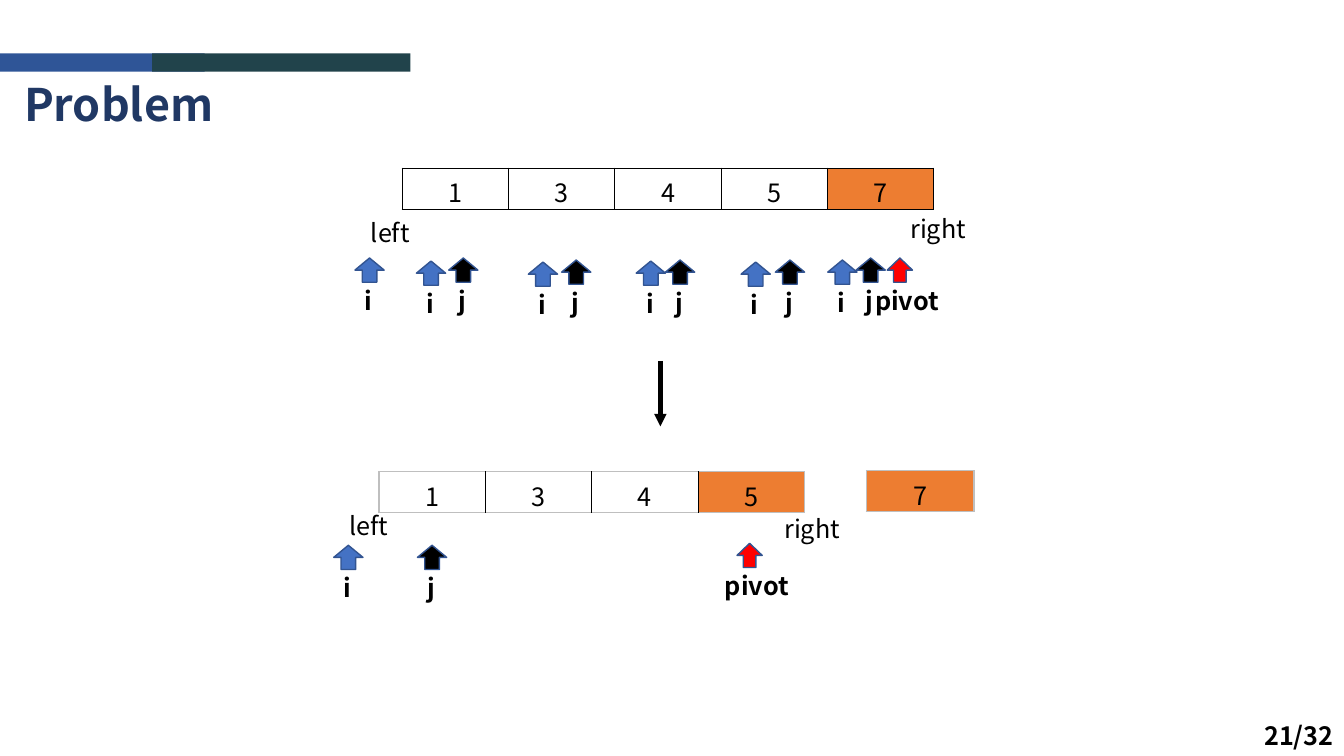
import pptx
import pptx.chart.data
import pptx.dml.color
import pptx.enum.shapes
import pptx.enum.text
import pptx.oxml
import pptx.oxml.ns
import pptx.util
from lxml import etree

Inches = pptx.util.Inches
Pt = pptx.util.Pt
RGBColor = pptx.dml.color.RGBColor
MSO_SHAPE = pptx.enum.shapes.MSO_SHAPE
qn = pptx.oxml.ns.qn

FONT = "Noto Sans CJK KR"
BLACK = RGBColor(0x00, 0x00, 0x00)
WHITE = RGBColor(0xFF, 0xFF, 0xFF)
GRAY = RGBColor(0xBF, 0xBF, 0xBF)
NAVY = RGBColor(0x20, 0x38, 0x64)
BAR_BLUE = RGBColor(0x2F, 0x55, 0x97)
BAR_TEAL = RGBColor(0x21, 0x43, 0x4B)
BLUE = RGBColor(0x44, 0x72, 0xC4)
OUTLINE = RGBColor(0x32, 0x54, 0x91)
RED = RGBColor(0xFF, 0x00, 0x00)
ORANGE = RGBColor(0xED, 0x7D, 0x31)


def add_text(text, left, top, width, height=0.4, size=18, bold=False, color=BLACK):
    tf = s.shapes.add_textbox(Inches(left), Inches(top), Inches(width), Inches(height)).text_frame
    tf.word_wrap = True
    r = tf.paragraphs[0].add_run()
    r.text = text
    r.font.name, r.font.size, r.font.bold = FONT, Pt(size), bold
    r.font.color.rgb = color


def add_array(values, left, top, width, height, edge):
    """Draw a one-row table whose last cell, the pivot, is orange."""
    last = len(values) - 1
    table = s.shapes.add_table(1, len(values), Inches(left), Inches(top),
                               Inches(width), Inches(height)).table
    table.first_row = table.horz_banding = False
    for i, value in enumerate(values):
        cell = table.cell(0, i)
        cell.vertical_anchor = pptx.enum.text.MSO_ANCHOR.MIDDLE
        p = cell.text_frame.paragraphs[0]
        p.alignment = pptx.enum.text.PP_ALIGN.CENTER
        r = p.add_run()
        r.text = value
        r.font.name, r.font.size, r.font.bold = FONT, Pt(18), False
        r.font.color.rgb = BLACK
        borders = {"lnL": BLACK if i > 0 else edge, "lnR": BLACK if i < last else edge,
                   "lnT": edge, "lnB": edge}
        for tag, color in borders.items():
            ln = etree.SubElement(cell._tc.get_or_add_tcPr(), qn("a:" + tag), w=str(Pt(1)))
            fill = etree.SubElement(ln, qn("a:solidFill"))
            etree.SubElement(fill, qn("a:srgbClr"), val=str(color))
        cell.fill.solid()
        cell.fill.fore_color.rgb = ORANGE if i == last else WHITE


prs = pptx.Presentation()
prs.slide_width, prs.slide_height = Inches(13.33), Inches(7.5)
s = prs.slides.add_slide(prs.slide_layouts[6])

# Header
for left, width, color in [(0, 2.03, BAR_BLUE), (1.51, 2.56, BAR_TEAL)]:
    bar = s.shapes.add_shape(MSO_SHAPE.RECTANGLE, Inches(left), Inches(0.53),
                             Inches(width), Inches(0.18))
    bar.shadow.inherit = False
    bar.fill.solid()
    bar.fill.fore_color.rgb = color
    bar.line.fill.background()
add_text("Problem", 0.14, 0.71, 5.59, 0.64, size=32, bold=True, color=NAVY)

# Arrays before and after the partition
add_array(["1", "3", "4", "5", "7"], 3.99, 1.67, 5.27, 0.41, BLACK)
add_array(["1", "3", "4", "5"], 3.76, 4.68, 4.22, 0.4, GRAY)
add_array(["7"], 8.59, 4.67, 1.07, 0.4, GRAY)
for text, left, top, width in [("left", 3.58, 2.11, 0.75), ("right", 8.93, 2.07, 0.91),
                               ("left", 3.37, 5.01, 0.75), ("right", 7.68, 5.04, 0.91)]:
    add_text(text, left, top, width)

# Index pointers: arrow width, fill, label offset from the arrow, label width
styles = {"i": (0.29, BLUE, 0, 1.05), "j": (0.29, BLACK, 0, 1.05),
          "pivot": (0.25, RED, -0.22, 0.91)}
pointers = [
    ("pivot", 8.8, 2.56), ("i", 3.52, 2.56),
    ("j", 4.45, 2.56), ("j", 5.57, 2.58), ("j", 6.6, 2.58), ("j", 7.69, 2.58), ("j", 8.49, 2.56),
    ("i", 4.13, 2.59), ("i", 5.24, 2.6), ("i", 6.31, 2.59), ("i", 7.35, 2.6), ("i", 8.21, 2.58),
    ("pivot", 7.31, 5.39), ("i", 3.31, 5.41), ("j", 4.14, 5.41),
]
for name, left, top in pointers:
    width, color, offset, label_width = styles[name]
    arrow = s.shapes.add_shape(MSO_SHAPE.UP_ARROW, Inches(left), Inches(top),
                               Inches(width), Inches(0.24))
    arrow.shadow.inherit = False
    arrow.fill.solid()
    arrow.fill.fore_color.rgb = color
    arrow.line.color.rgb = OUTLINE
    arrow.line.width = Pt(1)
    add_text(name, left + offset, top + 0.22, label_width, bold=True)

# Step arrow
step = s.shapes.add_connector(pptx.enum.shapes.MSO_CONNECTOR.STRAIGHT,
                              Inches(6.55), Inches(3.58), Inches(6.55), Inches(4.23))
step.line.color.rgb = BLACK
step.line.width = Pt(3)
etree.SubElement(step.line._get_or_add_ln(), qn("a:tailEnd"), type="triangle")
etree.SubElement(step._element.spPr, qn("a:effectLst"))

add_text("21/32", 12.44, 7.1, 0.92, bold=True)

prs.save("out.pptx")
